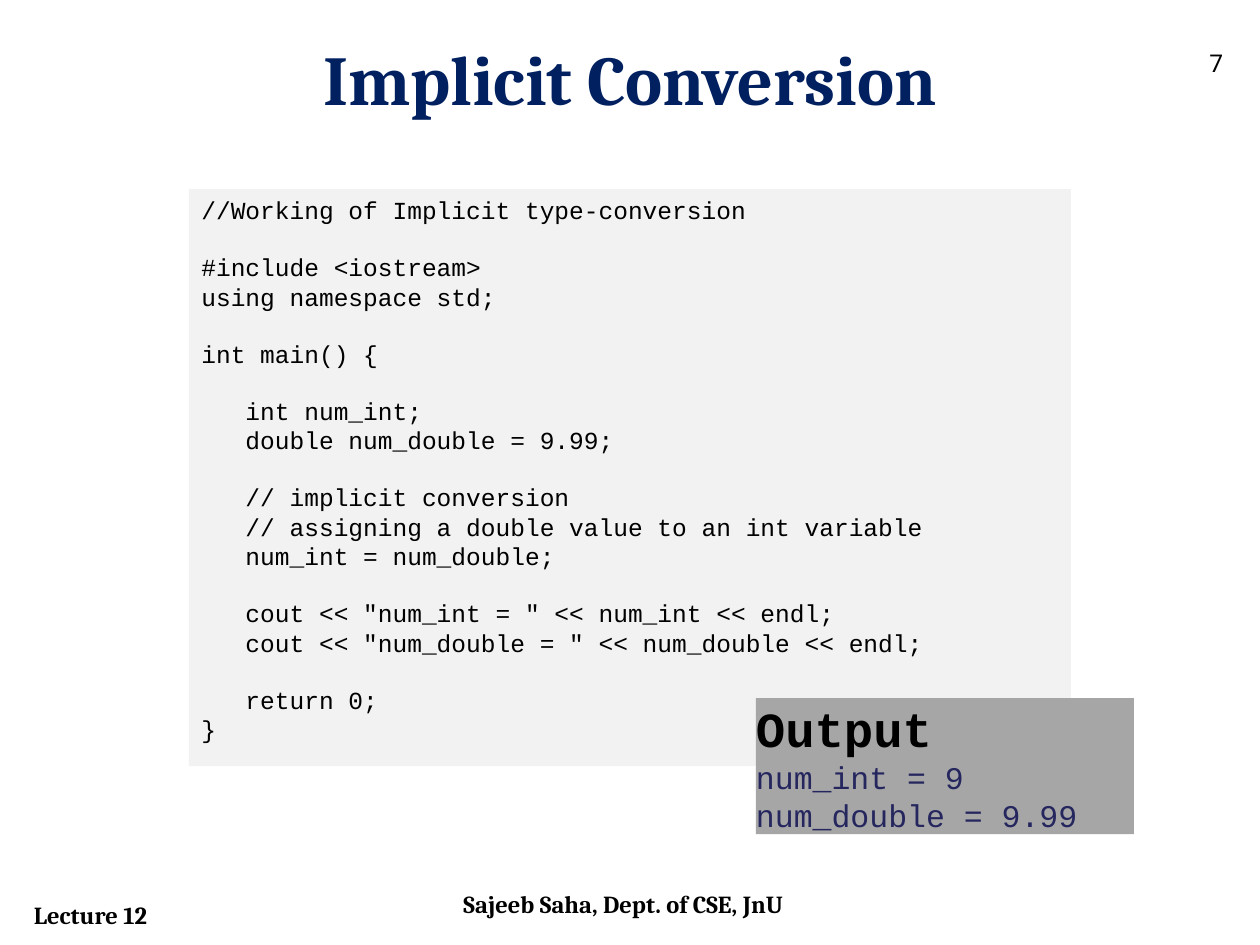
from dataclasses import dataclass

from pptx import Presentation
from pptx.dml.color import RGBColor
from pptx.enum.shapes import MSO_SHAPE
from pptx.enum.text import MSO_ANCHOR, PP_ALIGN
from pptx.util import Inches, Pt

RECTANGLE = MSO_SHAPE.RECTANGLE
TOP, MIDDLE = MSO_ANCHOR.TOP, MSO_ANCHOR.MIDDLE
LEFT, CENTER = PP_ALIGN.LEFT, PP_ALIGN.CENTER

BLACK = RGBColor(0x00, 0x00, 0x00)
NAVY = RGBColor(0x00, 0x20, 0x60)
INDIGO = RGBColor(0x25, 0x26, 0x5E)
CODE_GREY = RGBColor(0xF2, 0xF2, 0xF2)
OUTPUT_GREY = RGBColor(0xA6, 0xA6, 0xA6)

SERIF, SANS, MONO = "Cambria", "Roboto", "Courier New"
SLIDE_WIDTH, SLIDE_HEIGHT = Inches(10), Inches(7.5)
CODE_SIZE = 14
CODE_LINE = CODE_SIZE * 1.13  # height of one line of code in points


@dataclass(frozen=True)
class Area:
    """A rectangle given as shares of the slide's width and height."""
    left: float
    top: float
    width: float
    height: float

    def lengths(self) -> tuple[int, int, int, int]:
        return (int(self.left * SLIDE_WIDTH), int(self.top * SLIDE_HEIGHT),
                int(self.width * SLIDE_WIDTH), int(self.height * SLIDE_HEIGHT))


@dataclass(frozen=True)
class Label:
    text: str
    area: Area
    size: int = 14
    font: str = SERIF
    color: RGBColor = BLACK
    bold: bool = True
    align: PP_ALIGN = LEFT


LABELS = (
    Label("Lecture 12", Area(0.017, 7.09 / 7.5, 0.2, 0.34 / 7.5)),
    Label("Sajeeb Saha, Dept. of CSE, JnU",
          Area(0.358, 7.01 / 7.5, 0.283, 0.4 / 7.5)),
    Label("7", Area(0.95, 0.33 / 7.5, 0.042, 0.4 / 7.5), font=SANS, bold=False),
    Label("Implicit Conversion", Area(0.05, 0.23 / 7.5, 0.9, 0.77 / 7.5),
          size=40, color=NAVY, align=CENTER),
)

CODE_AREA = Area(0.15, 0.2, 0.7, 4.58 / 7.5)
CODE_BLOCKS = (
    ("//Working of Implicit type-conversion",),
    ("#include <iostream>", "using namespace std;"),
    ("int main() {",),
    ("   int num_int;", "   double num_double = 9.99;"),
    ("   // implicit conversion",
     "   // assigning a double value to an int variable",
     "   num_int = num_double;"),
    ('   cout << "num_int = " << num_int << endl;',
     '   cout << "num_double = " << num_double << endl;'),
    ("   return 0;", "}"),
)

OUTPUT_AREA = Area(0.6, 5.54 / 7.5, 0.3, 1.08 / 7.5)
OUTPUT_LINES = ("num_int = 9", "num_double = 9.99")


def write(frame, text: str, *, size: float, font: str, color: RGBColor = BLACK,
          bold: bool = False, align: PP_ALIGN = LEFT,
          space_before: float = 0) -> None:
    """Fill the frame's empty first paragraph, or add one after the others."""
    first = frame.paragraphs[0]
    paragraph = frame.add_paragraph() if first.runs else first
    paragraph.alignment = align
    paragraph.space_before = Pt(space_before)
    run = paragraph.add_run()
    run.text = text
    run.font.size = Pt(size)
    run.font.name = font
    run.font.bold = bold
    run.font.color.rgb = color


def draw_label(slide, label: Label) -> None:
    frame = slide.shapes.add_textbox(*label.area.lengths()).text_frame
    frame.word_wrap = True
    write(frame, label.text, size=label.size, font=label.font,
          color=label.color, bold=label.bold, align=label.align)


def add_panel(slide, area: Area, fill: RGBColor, anchor: MSO_ANCHOR):
    """Draw a plain filled rectangle and return its text frame."""
    panel = slide.shapes.add_shape(RECTANGLE, *area.lengths())
    panel.shadow.inherit = False
    panel.fill.solid()
    panel.fill.fore_color.rgb = fill
    panel.line.fill.background()
    frame = panel.text_frame
    frame.word_wrap = True
    frame.vertical_anchor = anchor
    return frame


def draw_code(slide) -> None:
    frame = add_panel(slide, CODE_AREA, CODE_GREY, TOP)
    for block_index, block in enumerate(CODE_BLOCKS):
        for line_index, line in enumerate(block):
            starts_block = block_index > 0 and line_index == 0
            write(frame, line, size=CODE_SIZE, font=MONO,
                  space_before=CODE_LINE if starts_block else 0)


def draw_output(slide) -> None:
    frame = add_panel(slide, OUTPUT_AREA, OUTPUT_GREY, MIDDLE)
    frame.margin_left = frame.margin_right = 0
    frame.margin_top = frame.margin_bottom = 0
    write(frame, "Output", size=28, font=MONO, bold=True)
    for line in OUTPUT_LINES:
        write(frame, line, size=18, font=MONO, color=INDIGO)


def main() -> None:
    presentation = Presentation()
    presentation.slide_width = SLIDE_WIDTH
    presentation.slide_height = SLIDE_HEIGHT
    slide = presentation.slides.add_slide(presentation.slide_layouts[6])
    for label in LABELS:
        draw_label(slide, label)
    draw_code(slide)
    draw_output(slide)
    presentation.save("out.pptx")


if __name__ == "__main__":
    main()
